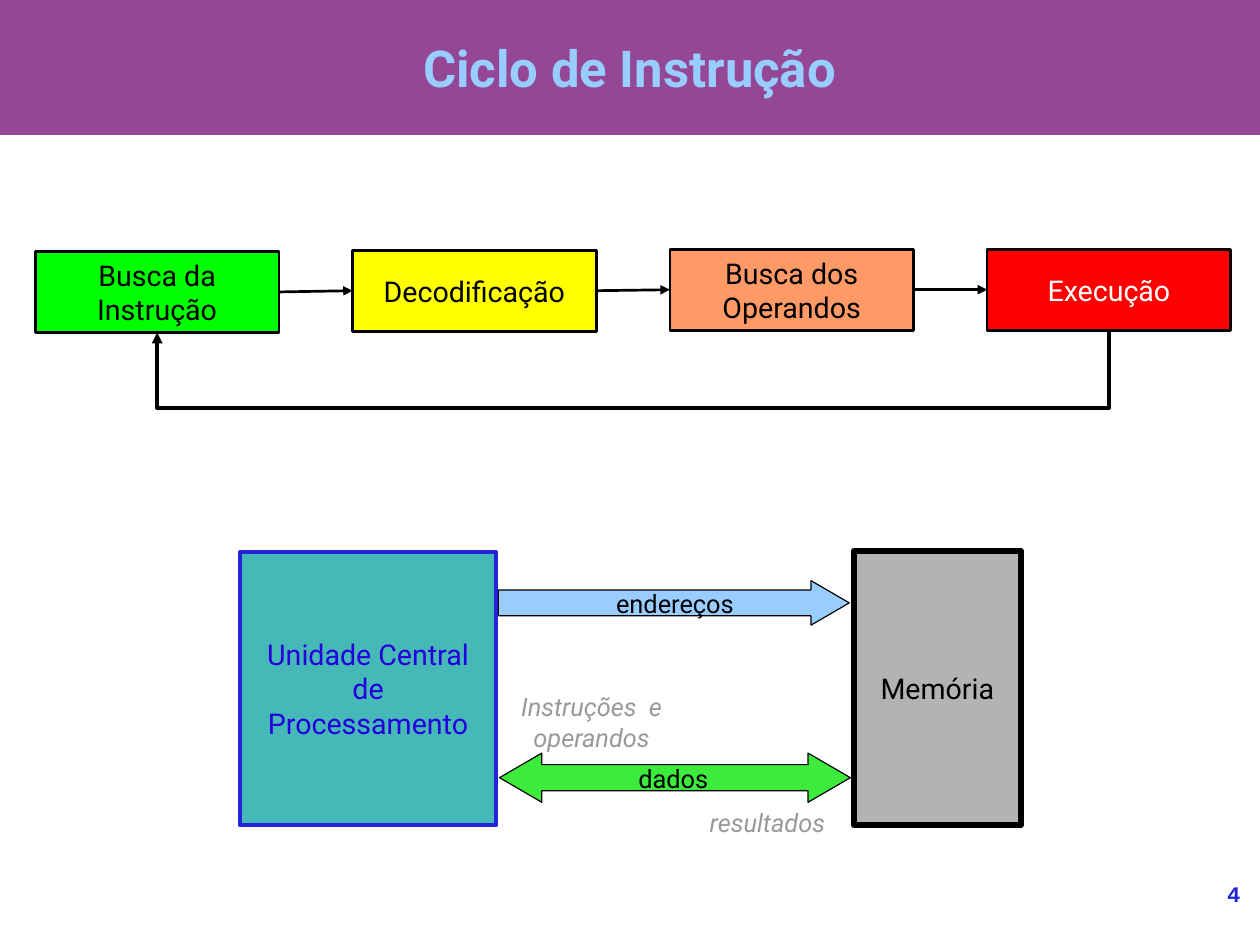
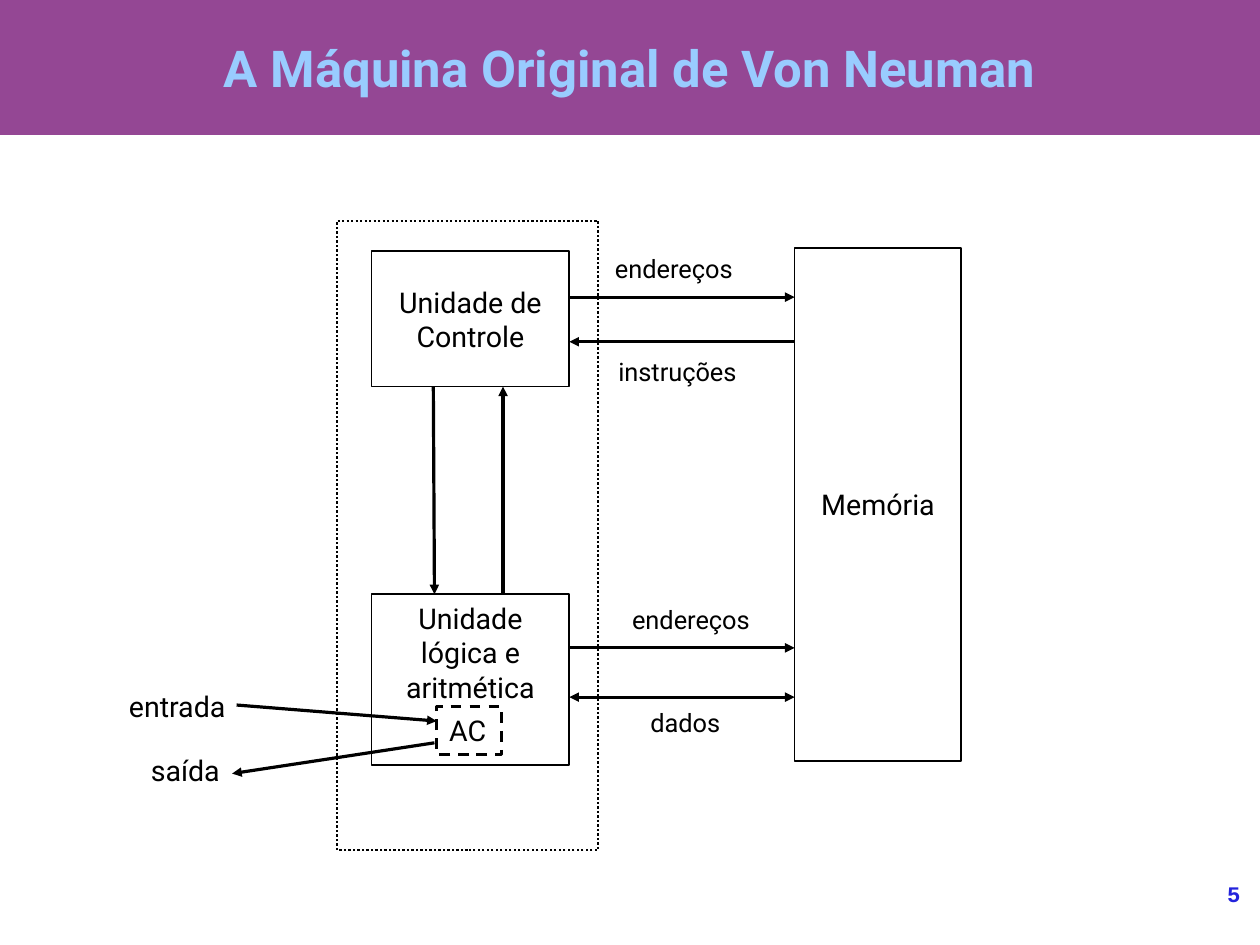
from dataclasses import dataclass

from lxml import etree
from pptx import Presentation
from pptx.dml.color import RGBColor
from pptx.enum.dml import MSO_LINE
from pptx.enum.shapes import MSO_CONNECTOR, MSO_SHAPE
from pptx.enum.text import MSO_ANCHOR, PP_ALIGN
from pptx.oxml.ns import qn
from pptx.util import Pt

RECTANGLE = MSO_SHAPE.RECTANGLE
RIGHT_ARROW = MSO_SHAPE.RIGHT_ARROW
DOUBLE_ARROW = MSO_SHAPE.LEFT_RIGHT_ARROW
STRAIGHT, ELBOW = MSO_CONNECTOR.STRAIGHT, MSO_CONNECTOR.ELBOW
LEFT, CENTER, RIGHT = PP_ALIGN.LEFT, PP_ALIGN.CENTER, PP_ALIGN.RIGHT
TOP, MIDDLE = MSO_ANCHOR.TOP, MSO_ANCHOR.MIDDLE
DOTTED, DASHED = MSO_LINE.ROUND_DOT, MSO_LINE.DASH
SITE_LEFT, SITE_BOTTOM, SITE_RIGHT = 1, 2, 3
TITLE_ONLY = 5


@dataclass(frozen=True)
class Theme:
    width: float = 793.5
    height: float = 595.4
    font: str = "Roboto"
    number_font: str = "Courier New"
    title_size: int = 32
    body_size: int = 18
    label_size: int = 16
    number_size: int = 14
    band: str = "944794"
    title: str = "99CCFF"
    ink: str = "000000"
    white: str = "FFFFFF"
    muted: str = "999999"
    number: str = "2323DC"
    fetch: str = "00FF00"
    decode: str = "FFFF00"
    operands: str = "FF9966"
    execute: str = "FF0000"
    processor: str = "47B8B8"
    processor_text: str = "2300DC"
    memory: str = "B3B3B3"
    addresses: str = "99CCFF"
    data: str = "3DEB3D"


THEME = Theme()


class Slides:
    def __init__(self, theme):
        self.theme = theme
        self.deck = Presentation()
        self.deck.slide_width = Pt(theme.width)
        self.deck.slide_height = Pt(theme.height)
        self.layout = self.deck.slide_layouts[TITLE_ONLY]
        self.slide = None

    def add_titled_slide(self, title, number):
        theme = self.theme
        first = self.slide is None
        self.slide = self.deck.slides.add_slide(self.layout)
        if first:
            band = self.shape((0, 0, theme.width, 85), fill=theme.band, width=None)
            self.layout.element.cSld.spTree.insert(2, band.element)
        heading = self.slide.shapes.title
        self.place(heading, (39.6, -7.2, 714.2, 99.4))
        self.set_text(heading, title, size=theme.title_size, color=theme.title,
                      inset=(0, 0), anchor=MIDDLE, bold=True)
        self.text((660.2, 554.4, 121, 41), str(number), size=theme.number_size,
                  color=theme.number, inset=(0, 0), align=RIGHT, bold=True,
                  font=theme.number_font)

    def place(self, item, area):
        item.left, item.top, item.width, item.height = map(Pt, area)

    def set_text(self, item, text, size=THEME.body_size, color=THEME.ink,
                 align=CENTER, anchor=TOP, inset=(7.2, 3.6), bold=False,
                 italic=False, font=THEME.font, wrap=True):
        frame = item.text_frame
        frame.text = text
        frame.word_wrap = wrap
        frame.vertical_anchor = anchor
        frame.margin_left = frame.margin_right = Pt(inset[0])
        frame.margin_top = frame.margin_bottom = Pt(inset[1])
        para = frame.paragraphs[0]
        para.alignment = align
        para.font.name = font
        para.font.size = Pt(size)
        para.font.bold = bold
        para.font.italic = italic
        para.font.color.rgb = RGBColor.from_string(color)

    def text(self, area, text, **style):
        box = self.slide.shapes.add_textbox(*map(Pt, area))
        self.set_text(box, text, **style)

    def label(self, area, text, **style):
        self.text(area, text, size=self.theme.label_size, **style)

    def shape(self, area, kind=RECTANGLE, fill=None, line=THEME.ink, width=1.13,
              dash=None, adjust=()):
        shape = self.slide.shapes.add_shape(kind, *map(Pt, area))
        shape.shadow.inherit = False
        for index, value in enumerate(adjust):
            shape.adjustments[index] = value
        if fill:
            shape.fill.solid()
            shape.fill.fore_color.rgb = RGBColor.from_string(fill)
        else:
            shape.fill.background()
        if width is None:
            shape.line.fill.background()
        else:
            shape.line.color.rgb = RGBColor.from_string(line)
            shape.line.width = Pt(width)
        if dash:
            shape.line.dash_style = dash
        return shape

    def block(self, area, text, fill=None, line=THEME.ink, width=1.13, dash=None,
              inset=(7.9, 4.3), anchor=MIDDLE, **style):
        shape = self.shape(area, fill=fill, line=line, width=width, dash=dash)
        self.set_text(shape, text, inset=inset, anchor=anchor, **style)
        return shape

    def finish_line(self, line, width, both=False):
        line.line.color.rgb = RGBColor.from_string(self.theme.ink)
        line.line.width = Pt(width)
        properties = line.element.spPr
        outline = properties.find(qn("a:ln"))
        if both:
            etree.SubElement(outline, qn("a:headEnd"), type="triangle")
        etree.SubElement(outline, qn("a:tailEnd"), type="triangle")
        etree.SubElement(properties, qn("a:effectLst"))

    def arrow(self, start, end, both=False):
        line = self.slide.shapes.add_connector(STRAIGHT, *map(Pt, start + end))
        self.finish_line(line, 0, both)

    def link(self, source, target, width):
        line = self.slide.shapes.add_connector(STRAIGHT, 0, 0, 0, 0)
        line.begin_connect(source, SITE_RIGHT)
        line.end_connect(target, SITE_LEFT)
        self.finish_line(line, width)

    def loop_back(self, source, target, drop, width):
        line = self.slide.shapes.add_connector(ELBOW, 0, 0, 0, 0)
        line.begin_connect(source, SITE_BOTTOM)
        line.end_connect(target, SITE_BOTTOM)
        span = line.begin_x - line.end_x
        rise = line.end_y - line.begin_y
        middle_x = (line.begin_x + line.end_x) // 2
        middle_y = (line.begin_y + line.end_y) // 2
        line.left, line.top = middle_x - rise // 2, middle_y - span // 2
        line.width, line.height = rise, span
        properties = line.element.spPr
        frame = properties.find(qn("a:xfrm"))
        for flip in ("flipH", "flipV"):
            frame.attrib.pop(flip, None)
        frame.set("rot", "5400000")
        guides = properties.find(qn("a:prstGeom")).find(qn("a:avLst"))
        bend = round(Pt(drop) / rise * 100000)
        etree.SubElement(guides, qn("a:gd"), name="adj1", fmla=f"val {bend}")
        self.finish_line(line, width)


def instruction_cycle(slides):
    theme = slides.theme
    slides.add_titled_slide("Ciclo de Instrução", 4)
    stages = [
        ("Busca da Instrução", 158.4, theme.fetch, theme.ink),
        ("Decodificação", 157.6, theme.decode, theme.ink),
        ("Busca dos Operandos", 157, theme.operands, theme.ink),
        ("Execução", 157, theme.execute, theme.white),
    ]
    boxes = [
        slides.block((22.3 + 199.8 * index, top, 153.4, 51.1), name, fill=fill,
                     width=1.7, inset=(2.2, 2.2), color=color)
        for index, (name, top, fill, color) in enumerate(stages)
    ]
    for source, target in zip(boxes, boxes[1:]):
        slides.link(source, target, 1.7)
    slides.loop_back(boxes[-1], boxes[0], 49.5, 2.27)

    slides.block((537.8, 347, 105.1, 173), "Memória", fill=theme.memory,
                 width=3.97, inset=(9.4, 5.8))
    slides.block((151.2, 347.8, 161.3, 172), "Unidade Central de Processamento",
                 fill=theme.processor, line=theme.number, width=2.83,
                 inset=(8.6, 5), color=theme.processor_text)
    slides.label((301.7, 432, 141.8, 44.6), "Instruções  e\voperandos",
                 color=theme.muted, italic=True)
    slides.label((439.9, 504.7, 105.1, 25.9), "resultados", color=theme.muted,
                 align=LEFT, italic=True)
    slides.shape((313.9, 365.8, 221, 28.1), RIGHT_ARROW, theme.addresses,
                 width=0, adjust=(0.58, 0.86))
    slides.shape((314.6, 474.5, 221, 31), DOUBLE_ARROW, theme.data,
                 width=0, adjust=(0.53, 0.86))
    slides.label((339.1, 477.4, 169.9, 25.9), "dados")
    slides.label((368.6, 367.2, 113, 25.9), "endereços")


def von_neumann_machine(slides):
    slides.add_titled_slide("A Máquina Original de Von Neuman", 5)
    unit_left, unit_right, memory_left = 234, 358.6, 500.4
    control_bottom, logic_top = 243.6, 374.4
    unit_width = unit_right - unit_left
    slides.block((memory_left, 156.2, 105.1, 323.3), "Memória")
    slides.block((unit_left, 158.4, unit_width, control_bottom - 158.4),
                 "Unidade de Controle")
    slides.block((unit_left, logic_top, unit_width, 107.7),
                 "Unidade lógica e aritmética", anchor=TOP)
    slides.block((275, 445, 41, 30.2), "AC", width=1.7, dash=DASHED,
                 anchor=TOP, align=LEFT, wrap=False)

    slides.arrow((unit_right, 187.2), (memory_left, 187.2))
    slides.arrow((memory_left, 215.3), (unit_right, 215.3))
    slides.arrow((unit_right, 408.2), (memory_left, 408.2))
    slides.arrow((memory_left, 439.2), (unit_right, 439.2), both=True)
    slides.arrow((149, 444.2), (275, 454.3))
    slides.arrow((273.6, 468), (146.2, 487.4))
    slides.arrow((272.9, control_bottom), (273.6, logic_top))
    slides.arrow((316.8, logic_top), (316.8, control_bottom))

    slides.text((64.1, 430.6, 85, 28.1), "entrada", align=RIGHT)
    slides.text((74.9, 470.9, 70.6, 28.1), "saída", align=RIGHT)
    for left, top, width, name in (
        (380.2, 156.2, 113, "endereços"),
        (382.3, 221, 113, "instruções"),
        (391, 377.3, 113, "endereços"),
        (402.5, 442.1, 65.5, "dados"),
    ):
        slides.label((left, top, width, 25.9), name, align=LEFT)
    slides.shape((212.4, 139, 164.2, 396.7), width=1.42, dash=DOTTED)


def main():
    slides = Slides(THEME)
    instruction_cycle(slides)
    von_neumann_machine(slides)
    slides.deck.save("out.pptx")


if __name__ == "__main__":
    main()
